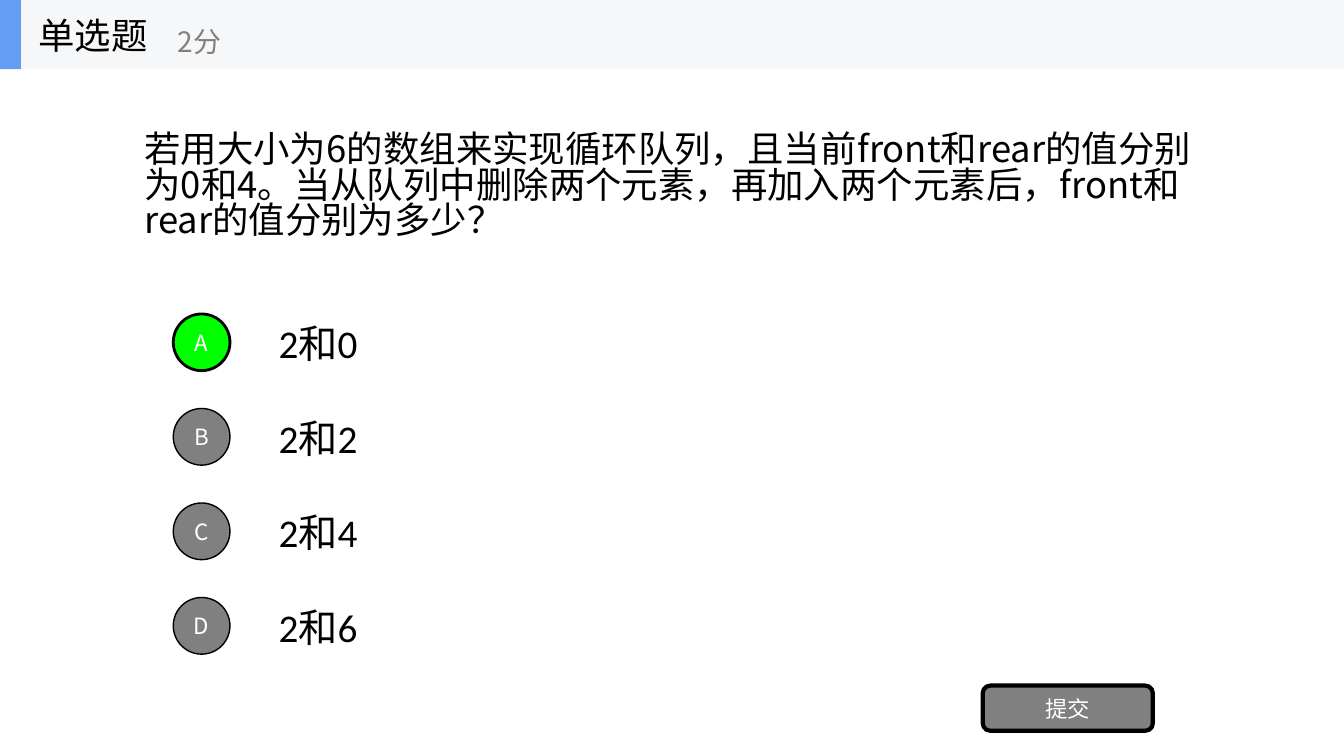
from lxml.etree import SubElement
from pptx import Presentation
from pptx.dml.color import RGBColor
from pptx.enum.shapes import MSO_SHAPE as SHAPE
from pptx.enum.text import MSO_ANCHOR as ANCHOR, PP_ALIGN as ALIGN
from pptx.oxml.ns import qn
from pptx.util import Emu, Pt

PX = 9525
COLORS = {
    "black": "000000",
    "white": "FFFFFF",
    "gray": "808080",
    "green": "00FF00",
    "band": "F6F7F8",
    "blue": "639EF4",
}
CJK = "Noto Sans CJK SC"


class QuizSlide:
    def __init__(self, prs):
        self.s = prs.slides.add_slide(prs.slide_layouts[6])

    def color(self, name):
        return RGBColor.from_string(COLORS[name])

    def box(self, *lengths):
        return [Emu(n * PX) for n in lengths]

    def set_text(self, sp, text, size, color, font=CJK, align=ALIGN.LEFT):
        tf = sp.text_frame
        tf.word_wrap = True
        tf.vertical_anchor = ANCHOR.MIDDLE
        p = tf.paragraphs[0]
        p.text = text
        p.alignment = align
        p.font.size = Pt(size)
        p.font.name = font
        p.font.color.rgb = self.color(color)
        SubElement(p._p.pPr.find(qn("a:defRPr")), qn("a:ea"), typeface=CJK)
        return p

    def text(self, x, y, w, h, text, size, color="black", font=CJK):
        sp = self.s.shapes.add_textbox(*self.box(x, y, w, h))
        return self.set_text(sp, text, size, color, font)

    def shape(self, kind, x, y, w, h, fill, line=0):
        sp = self.s.shapes.add_shape(kind, *self.box(x, y, w, h))
        sp.shadow.inherit = False
        sp.fill.solid()
        sp.fill.fore_color.rgb = self.color(fill)
        if line:
            sp.line.color.rgb = self.color("black")
            sp.line.width = Pt(line)
        else:
            sp.line.fill.background()
        return sp

    def button(self, kind, x, y, w, h, label, fill="gray", line=1):
        sp = self.shape(kind, x, y, w, h, fill, line)
        tf = sp.text_frame
        tf.margin_left = tf.margin_right = tf.margin_top = tf.margin_bottom = 0
        self.set_text(sp, label, 16, "white", align=ALIGN.CENTER)


def main():
    prs = Presentation()
    prs.slide_width, prs.slide_height = Emu(1280 * PX), Emu(720 * PX)
    quiz = QuizSlide(prs)

    question = quiz.text(
        128, 66, 1024, 225,
        "若用大小为6的数组来实现循环队列，且当前front和rear的值分别为0和4。"
        "当从队列中删除两个元素，再加入两个元素后，front和rear的值分别为多少？", 26)
    question.line_spacing = 0.82

    for i, (letter, answer) in enumerate(zip("ABCD", ["2和0", "2和2", "2和4", "2和6"])):
        y = 293 + 90 * i
        fill, line = ("green", 2) if letter == "A" else ("gray", 1)
        quiz.text(256, y, 896, 67, answer, 28, font="Calibri")
        quiz.button(SHAPE.OVAL, 165, y + 6, 54, 54, letter, fill, line)
    quiz.button(SHAPE.ROUNDED_RECTANGLE, 936, 653, 162, 43, "提交", line=3)

    quiz.shape(SHAPE.RECTANGLE, 0, 0, 1280, 66, "band")
    quiz.shape(SHAPE.RECTANGLE, 0, 0, 20, 66, "blue")
    quiz.text(27, 0, 200, 66, "单选题", 26)
    quiz.text(160, 12, 240, 54, "2分", 20, "gray")

    prs.save("out.pptx")


if __name__ == "__main__":
    main()
